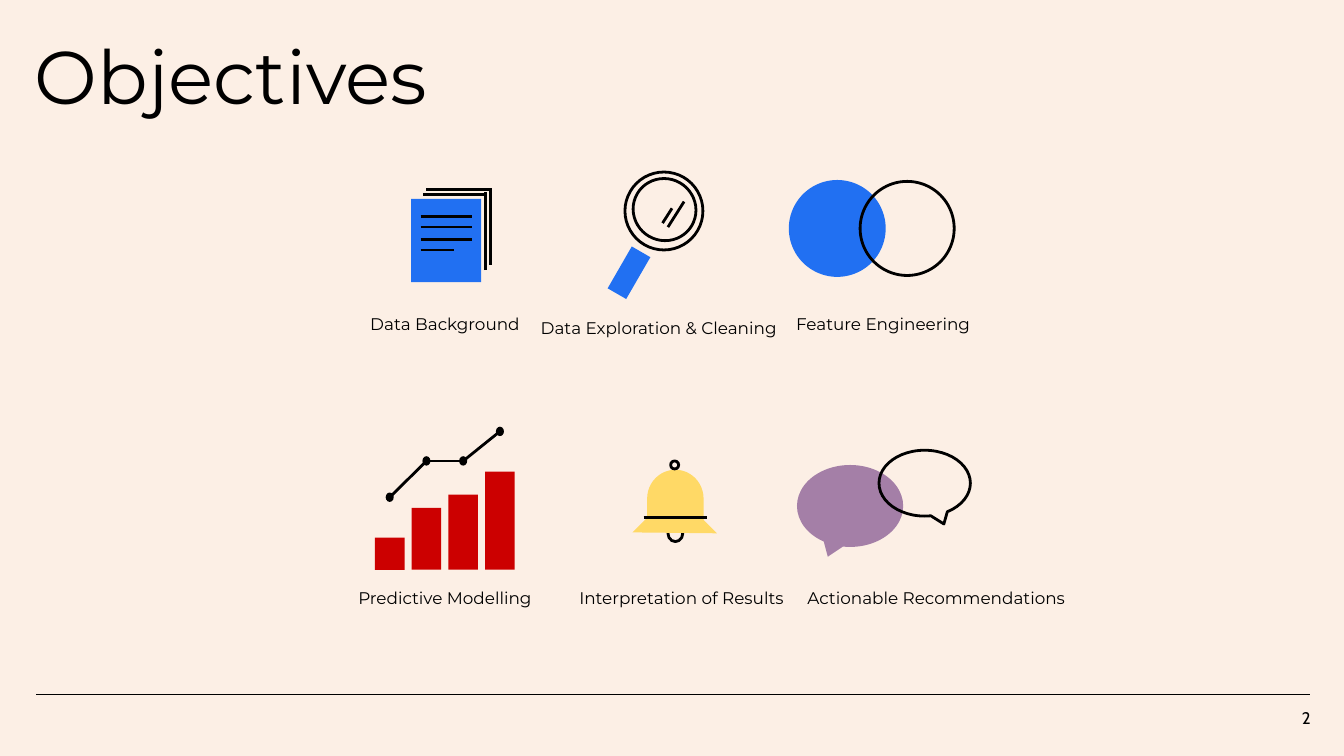
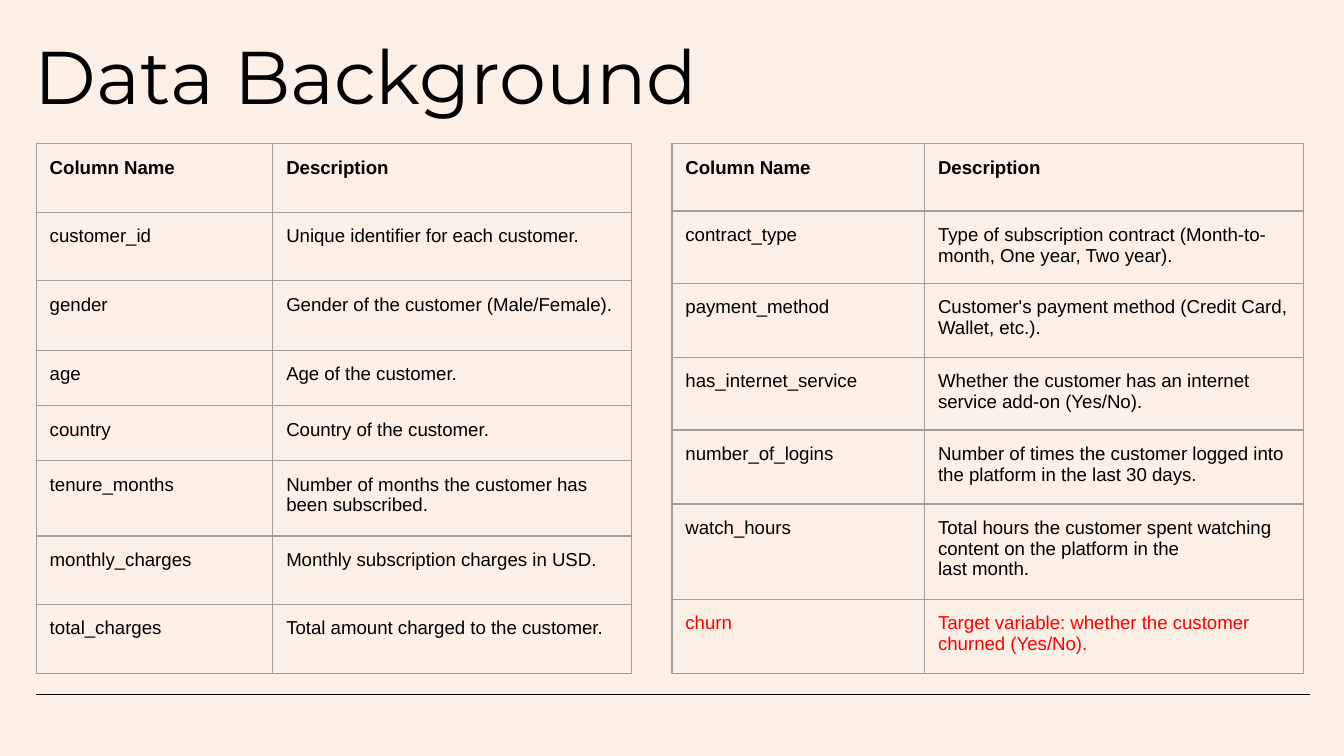
from itertools import pairwise

from lxml.etree import SubElement
from pptx import Presentation
from pptx.dml.color import RGBColor
from pptx.enum.shapes import MSO_CONNECTOR, MSO_SHAPE as SHAPE
from pptx.enum.text import MSO_ANCHOR as ANCHOR, MSO_AUTO_SIZE as AUTO_SIZE, PP_ALIGN as ALIGN
from pptx.oxml.ns import qn
from pptx.util import Inches, Pt

CREAM, BLACK, BLUE, RED = "FCEFE5", "000000", "2170F2", "CC0000"
YELLOW, PURPLE, GREY, ALERT = "FFD966", "A47FA7", "9E9E9E", "FF0000"

SLIDE_WIDTH = Inches(10)
SLIDE_HEIGHT = SLIDE_WIDTH * 9 // 16

TITLE_FONT = {"name": "Montserrat", "size": Pt(40)}
CAPTION_FONT = {"name": "Montserrat", "size": Pt(9)}
NUMBER_FONT = {"name": "Cabin", "size": Pt(9)}
TABLE_FONT = {"name": "Arial", "size": Pt(10)}
MARGINS = {f"margin_{side}": Inches(0.1) for side in ("left", "right", "top", "bottom")}

CAPTIONS = [
    ("Data Background", 2.34, 2.26, 1.94, 0.35),
    ("Data Exploration & Cleaning", 3.83, 2.29, 2.14, 0.5),
    ("Feature Engineering", 5.67, 2.26, 1.8, 0.35),
    ("Predictive Modelling", 2.34, 4.3, 1.94, 0.35),
    ("Interpretation of Results", 4.17, 4.3, 1.8, 0.35),
    ("Actionable Recommendations", 5.48, 4.3, 2.97, 0.35),
]

BAR_LEFT, BAR_BASE, BAR_WIDTH, BAR_STEP = 2.79, 4.24, 0.22, 0.82 / 3
BAR_HEIGHTS = [0.24, 0.46, 0.56, 0.73]
TREND_HEIGHTS = [3.7, 3.43, 3.43, 3.21]
DOT_WIDTH, DOT_HEIGHT = 0.06, 0.07

bar_lefts = [BAR_LEFT + i * BAR_STEP for i in range(len(BAR_HEIGHTS))]
trend = [(left + BAR_WIDTH / 2, y) for left, y in zip(bar_lefts, TREND_HEIGHTS)]

VENN = {
    "shapes": [
        (SHAPE.OVAL, (5.88, 1.35, 0.7, 0.7), {"fill": BLUE, "line": BLUE}),
        (SHAPE.OVAL, (6.4, 1.35, 0.7, 0.7), {"line": BLACK}),
    ],
}
BAR_CHART = {
    "shapes": [
        (SHAPE.RECTANGLE, (left, BAR_BASE - height, BAR_WIDTH, height), {"fill": RED})
        for left, height in zip(bar_lefts, BAR_HEIGHTS)
    ] + [
        (SHAPE.OVAL, (x - DOT_WIDTH / 2, y - DOT_HEIGHT / 2, DOT_WIDTH, DOT_HEIGHT), {"fill": BLACK})
        for x, y in trend
    ],
    "lines": [(*start, *end) for start, end in pairwise(trend)],
}
DOCUMENT = {
    "shapes": [(SHAPE.RECTANGLE, (3.06, 1.48, 0.52, 0.62), {"fill": BLUE})],
    "lines": [
        (3.13, y, right, y)
        for y, right in ((1.61, 3.51), (1.69, 3.51), (1.78, 3.51), (1.86, 3.38))
    ] + [
        (3.15, 1.45, 3.62, 1.45),
        (3.61, 2.01, 3.61, 1.43),
        (3.17, 1.41, 3.66, 1.41),
        (3.65, 1.97, 3.65, 1.4),
    ],
}
BELL = {
    "shapes": [
        (SHAPE.FLOWCHART_DELAY, (4.81, 3.5, 0.43, 0.42), {"fill": YELLOW, "rotation": 270}),
        (SHAPE.OVAL, (4.99, 3.43, 0.06, 0.06), {"line": BLACK}),
        (SHAPE.OVAL, (4.97, 3.91, 0.11, 0.12), {"line": BLACK}),
        (SHAPE.RIGHT_TRIANGLE, (4.8, 3.74, 0.44, 0.45), {"fill": YELLOW, "rotation": 135}),
    ],
    "lines": [(4.79, 3.85, 5.26, 3.85)],
}
SPEECH = {
    "shapes": [
        (SHAPE.OVAL_CALLOUT, (5.93, 3.46, 0.79, 0.61), {"fill": PURPLE}),
        (SHAPE.OVAL_CALLOUT, (6.54, 3.35, 0.68, 0.49), {"line": BLACK, "flip": True}),
    ],
}
MAGNIFIER = {
    "shapes": [
        (SHAPE.RECTANGLE, (4.6, 1.85, 0.16, 0.36), {"fill": BLUE, "rotation": 30}),
        (SHAPE.OVAL, (4.65, 1.28, 0.58, 0.58), {"line": BLACK, "rotation": 30}),
        (SHAPE.OVAL, (4.71, 1.33, 0.47, 0.46), {"line": BLACK, "rotation": 30}),
    ],
    "lines": [(4.97, 1.69, 5.09, 1.5), (4.93, 1.66, 5, 1.55)],
}
ICONS = [VENN, BAR_CHART, DOCUMENT, BELL, SPEECH, MAGNIFIER]

HEADINGS = ("Column Name", "Description")
TARGET = "churn"
CUSTOMER_COLUMNS = [
    ("customer_id", "Unique identifier for each customer."),
    ("gender", "Gender of the customer (Male/Female)."),
    ("age", "Age of the customer."),
    ("country", "Country of the customer."),
    ("tenure_months", "Number of months the customer has been subscribed."),
    ("monthly_charges", "Monthly subscription charges in USD."),
    ("total_charges", "Total amount charged to the customer."),
]
SERVICE_COLUMNS = [
    ("contract_type", "Type of subscription contract (Month-to-month, One year, Two year)."),
    ("payment_method", "Customer's payment method (Credit Card, Wallet, etc.)."),
    ("has_internet_service", "Whether the customer has an internet service add-on (Yes/No)."),
    ("number_of_logins", "Number of times the customer logged into the platform in the last 30 days."),
    ("watch_hours", "Total hours the customer spent watching content on the platform in the\nlast month."),
    (TARGET, "Target variable: whether the customer churned (Yes/No)."),
]
TABLES = [
    (0.27, (1.76, 2.67), (0.51, 0.51, 0.52, 0.41, 0.41, 0.56, 0.51, 0.51), CUSTOMER_COLUMNS),
    (5, (1.88, 2.82), (0.5, 0.54, 0.55, 0.54, 0.55, 0.71, 0.55), SERVICE_COLUMNS),
]
TABLE_TOP = 1.07


def color(hex_code):
    return RGBColor.from_string(hex_code)


def apply(target, values):
    for attribute, value in values.items():
        setattr(target, attribute, value)


def box(left, top, width, height):
    return [Inches(value) for value in (left, top, width, height)]


def write(frame, text, font, align=ALIGN.LEFT, ink=BLACK, spacing=1.0):
    frame.text = text
    for paragraph in frame.paragraphs:
        apply(paragraph, {"alignment": align, "line_spacing": spacing})
        for run in paragraph.runs:
            apply(run.font, font)
            run.font.color.rgb = color(ink)


def add_text(slide, text, place, font, align, anchor=ANCHOR.TOP):
    frame = slide.shapes.add_textbox(*box(*place)).text_frame
    apply(frame, {**MARGINS, "word_wrap": True, "vertical_anchor": anchor})
    write(frame, text, font, align)


def add_line(shapes, ends, width=1.5):
    line = shapes.add_connector(MSO_CONNECTOR.STRAIGHT, *box(*ends))
    line.line.color.rgb = color(BLACK)
    line.line.width = Pt(width)
    SubElement(line.element.spPr, qn("a:effectLst"))
    return line


def add_part(shapes, kind, place, look):
    part = shapes.add_shape(kind, *box(*place))
    part.shadow.inherit = False
    part.rotation = look.get("rotation", 0)
    if "fill" in look:
        part.fill.solid()
        part.fill.fore_color.rgb = color(look["fill"])
    else:
        part.fill.background()
    if "line" in look:
        part.line.color.rgb = color(look["line"])
        part.line.width = Pt(1.5)
    else:
        part.line.fill.background()
    if kind == SHAPE.OVAL_CALLOUT:
        part.adjustments[0], part.adjustments[1] = -0.21, 0.62
    if look.get("flip"):
        part.element.spPr.find(qn("a:xfrm")).set("flipH", "1")


def add_icon(slide, icon):
    group = slide.shapes.add_group_shape()
    for kind, place, look in icon["shapes"]:
        add_part(group.shapes, kind, place, look)
    for ends in icon.get("lines", []):
        add_line(group.shapes, ends)


def add_borders(cell):
    properties = cell._tc.get_or_add_tcPr()
    for side in ("lnL", "lnR", "lnT", "lnB"):
        border = SubElement(properties, qn(f"a:{side}"), w=str(Pt(0.75)))
        fill = SubElement(border, qn("a:solidFill"))
        SubElement(fill, qn("a:srgbClr"), val=GREY)


def add_column_table(slide, left, widths, heights, entries):
    rows = [HEADINGS, *entries]
    place = box(left, TABLE_TOP, sum(widths), sum(heights))
    table = slide.shapes.add_table(len(rows), len(HEADINGS), *place).table
    apply(table, {"first_row": False, "horz_banding": False})
    for column, width in zip(table.columns, widths):
        column.width = Inches(width)
    for row, height, texts in zip(table.rows, heights, rows):
        row.height = Inches(height)
        font = {**TABLE_FONT, "bold": texts == HEADINGS}
        ink = ALERT if texts[0] == TARGET else BLACK
        for cell, text in zip(row.cells, texts):
            apply(cell, MARGINS)
            add_borders(cell)
            cell.fill.background()
            write(cell.text_frame, text, font, ink=ink)


def add_slide(prs, layout, title, width, height):
    slide = prs.slides.add_slide(layout)
    heading = slide.shapes.title
    apply(heading, dict(zip(("left", "top", "width", "height"), box(0.16, 0.2, width, height))))
    frame = heading.text_frame
    apply(frame, {**MARGINS, "vertical_anchor": ANCHOR.TOP, "word_wrap": True,
                  "auto_size": AUTO_SIZE.NONE})
    write(frame, title, TITLE_FONT, spacing=0.9)
    return slide


def main():
    prs = Presentation()
    apply(prs, {"slide_width": SLIDE_WIDTH, "slide_height": SLIDE_HEIGHT})
    layout = prs.slide_layouts.get_by_name("Title Only")
    layout.background.fill.solid()
    layout.background.fill.fore_color.rgb = color(CREAM)

    objectives = add_slide(prs, layout, "Objectives", 4.43, 0.95)
    footer_rule = add_line(objectives.shapes, (0.27, 5.17, 9.75, 5.17), 0.75)
    layout.shapes.element.append(footer_rule.element)
    add_text(objectives, "2", (9.25, 5.17, 0.6, 0.34), NUMBER_FONT, ALIGN.RIGHT, ANCHOR.MIDDLE)
    for text, *place in CAPTIONS:
        add_text(objectives, text, place, CAPTION_FONT, ALIGN.CENTER)
    for icon in ICONS:
        add_icon(objectives, icon)

    background = add_slide(prs, layout, "Data Background", 5.65, 0.7)
    for left, widths, heights, entries in TABLES:
        add_column_table(background, left, widths, heights, entries)

    prs.save("out.pptx")


if __name__ == "__main__":
    main()
